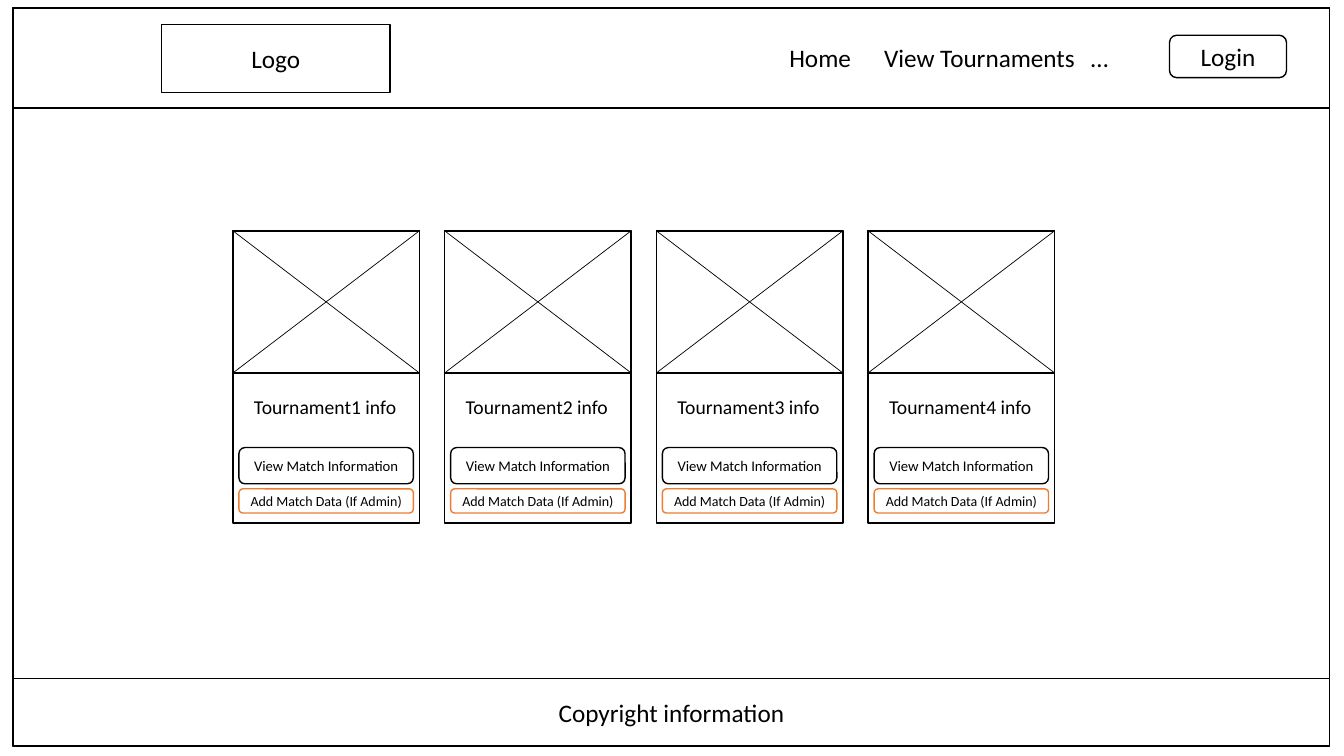
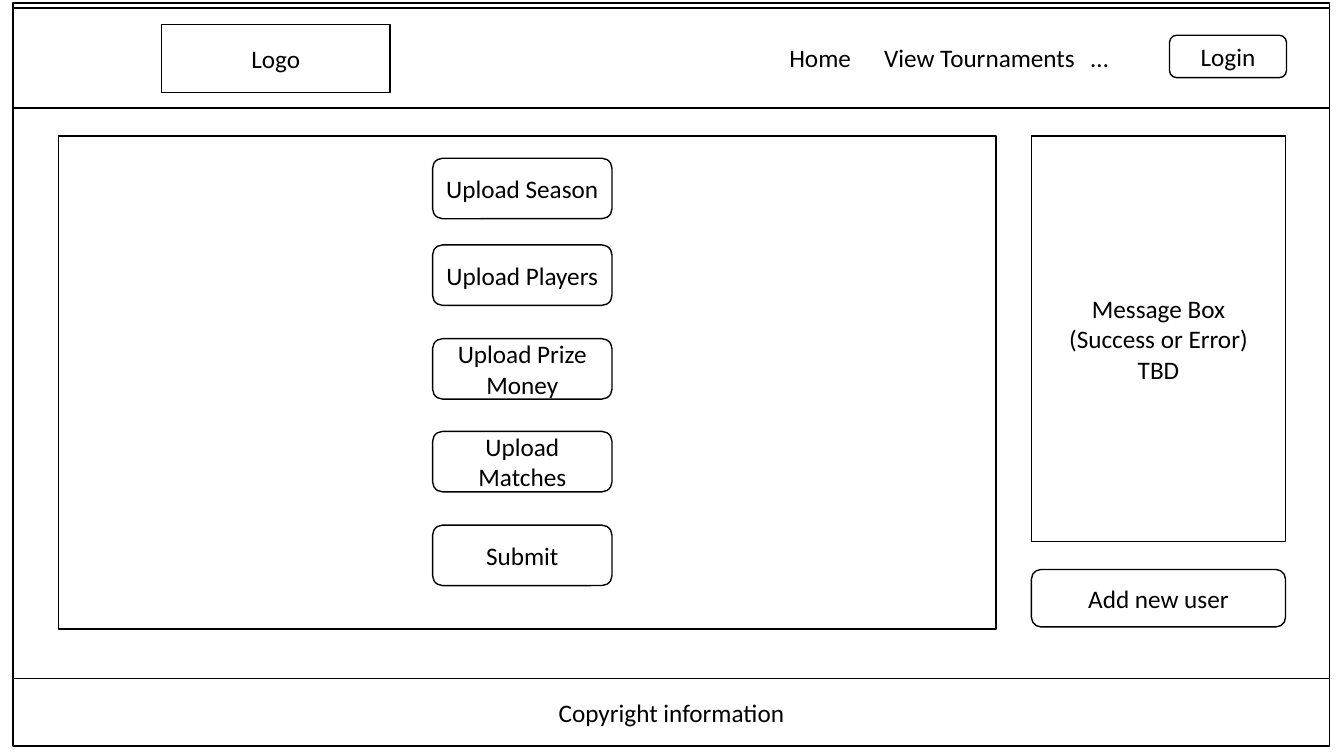
"""Build two website wireframes: a tournament list and an upload page."""
from lxml.etree import SubElement
from pptx import Presentation
from pptx.dml.color import RGBColor
from pptx.enum.shapes import MSO_CONNECTOR as CONNECTOR, MSO_SHAPE as SHAPE
from pptx.enum.text import MSO_ANCHOR as ANCHOR, PP_ALIGN as ALIGN
from pptx.oxml.ns import qn
from pptx.util import Inches, Pt

COLORS = {"ink": "000000", "paper": "FFFFFF", "admin": "ED7D31"}
FONT = "Calibri"
PAGE_LEFT, PAGE_WIDTH = 0.13, 13.06
NAV_ITEMS = ("Home", "View Tournaments", "…")
NAV_TABS = (0.94, 2.99)
CARD_LEFT, CARD_TOP, CARD_PITCH = 2.31, 2.29, 2.1
CARD_WIDTH, CARD_HEIGHT, IMAGE_HEIGHT = 1.85, 2.9, 1.41
UPLOAD_BUTTONS = (
    ("Upload Season", 1.57),
    ("Upload Players", 2.43),
    ("Upload Prize Money", 3.36),
    ("Upload Matches", 4.28),
    ("Submit", 5.21),
)


def color(name):
    """Return the named palette colour."""
    return RGBColor.from_string(COLORS[name])


def write(frame, text, size, align):
    """Fill a text frame with one formatted paragraph."""
    frame.word_wrap = True
    paragraph = frame.paragraphs[0]
    paragraph.text = text
    paragraph.alignment = align
    paragraph.font.name = FONT
    paragraph.font.size = Pt(size)
    paragraph.font.color.rgb = color("ink")
    return paragraph


def add_box(shapes, left, top, width, height, text="", size=18,
            kind=SHAPE.RECTANGLE, outline="ink"):
    """Add an outlined white box with optional centred text."""
    box = shapes.add_shape(kind, Inches(left), Inches(top),
                           Inches(width), Inches(height))
    box.shadow.inherit = False
    box.fill.solid()
    box.fill.fore_color.rgb = color("paper")
    box.line.color.rgb = color(outline)
    box.line.width = Pt(1)
    if text:
        box.text_frame.vertical_anchor = ANCHOR.MIDDLE
        write(box.text_frame, text, size, ALIGN.CENTER)


def add_button(shapes, left, top, width, height, text, size=18, outline="ink"):
    """Add a rounded button."""
    add_box(shapes, left, top, width, height, text, size,
            SHAPE.ROUNDED_RECTANGLE, outline)


def add_label(shapes, left, top, width, height, text, size):
    """Add left-aligned text and return its paragraph."""
    label = shapes.add_textbox(Inches(left), Inches(top),
                               Inches(width), Inches(height))
    return write(label.text_frame, text, size, ALIGN.LEFT)


def add_line(shapes, left, top, right, bottom):
    """Add a thin straight line."""
    line = shapes.add_connector(CONNECTOR.STRAIGHT, Inches(left), Inches(top),
                                Inches(right), Inches(bottom))
    line.line.color.rgb = color("ink")
    line.line.width = Pt(0.5)
    SubElement(line._element.spPr, qn("a:effectLst"))


def add_navigation(shapes):
    """Add the menu items, spaced by tab stops."""
    menu = add_label(shapes, 7.73, 0.37, 3.45, 0.4, "\t".join(NAV_ITEMS), 18)
    tabs = SubElement(menu._p.get_or_add_pPr(), qn("a:tabLst"))
    for position in NAV_TABS:
        SubElement(tabs, qn("a:tab"), pos=str(Inches(position)), algn="l")


def add_page(deck, top):
    """Add a slide with the shared page frame, header and footer."""
    shapes = deck.slides.add_slide(deck.slide_layouts[6]).shapes
    add_box(shapes, PAGE_LEFT, top, PAGE_WIDTH, 7.32)
    add_box(shapes, PAGE_LEFT, 0.08, PAGE_WIDTH, 0.99)
    add_box(shapes, PAGE_LEFT, 6.73, PAGE_WIDTH, 0.67, "Copyright information")
    add_box(shapes, 1.6, 0.24, 2.27, 0.68, "Logo")
    add_navigation(shapes)
    add_button(shapes, 11.6, 0.35, 1.16, 0.42, "Login")
    return shapes


def add_card(page, number):
    """Add one grouped tournament card."""
    card = page.add_group_shape().shapes
    left = CARD_LEFT + (number - 1) * CARD_PITCH
    right, image_bottom = left + CARD_WIDTH, CARD_TOP + IMAGE_HEIGHT
    add_box(card, left, CARD_TOP, CARD_WIDTH, CARD_HEIGHT)
    add_box(card, left, CARD_TOP, CARD_WIDTH, IMAGE_HEIGHT)
    add_line(card, left, image_bottom, right, CARD_TOP)
    add_line(card, left, CARD_TOP, right, image_bottom)
    add_label(card, left + 0.11, 3.87, 1.88, 0.34, f"Tournament{number} info", 14)
    add_button(card, left + 0.06, 4.44, 1.73, 0.36, "View Match Information", 10.5)
    add_button(card, left + 0.06, 4.85, 1.73, 0.24, "Add Match Data (If Admin)",
               10, "admin")


def build_tournaments(deck):
    """Build the tournament list page."""
    page = add_page(deck, 0.08)
    for number in range(1, 5):
        add_card(page, number)


def build_upload(deck):
    """Build the data upload page."""
    page = add_page(deck, 0.03)
    add_box(page, 0.58, 1.35, 9.3, 4.89)
    for caption, top in UPLOAD_BUTTONS:
        add_button(page, 4.29, top, 1.78, 0.6, caption)
    add_box(page, 10.23, 1.35, 2.52, 4.02,
            "Message Box\v(Success or Error)\vTBD")
    add_button(page, 10.23, 5.65, 2.52, 0.57, "Add new user")


def main():
    """Create and save the deck."""
    deck = Presentation()
    deck.slide_width, deck.slide_height = Inches(13.33), Inches(7.5)
    build_tournaments(deck)
    build_upload(deck)
    deck.save("out.pptx")


if __name__ == "__main__":
    main()
